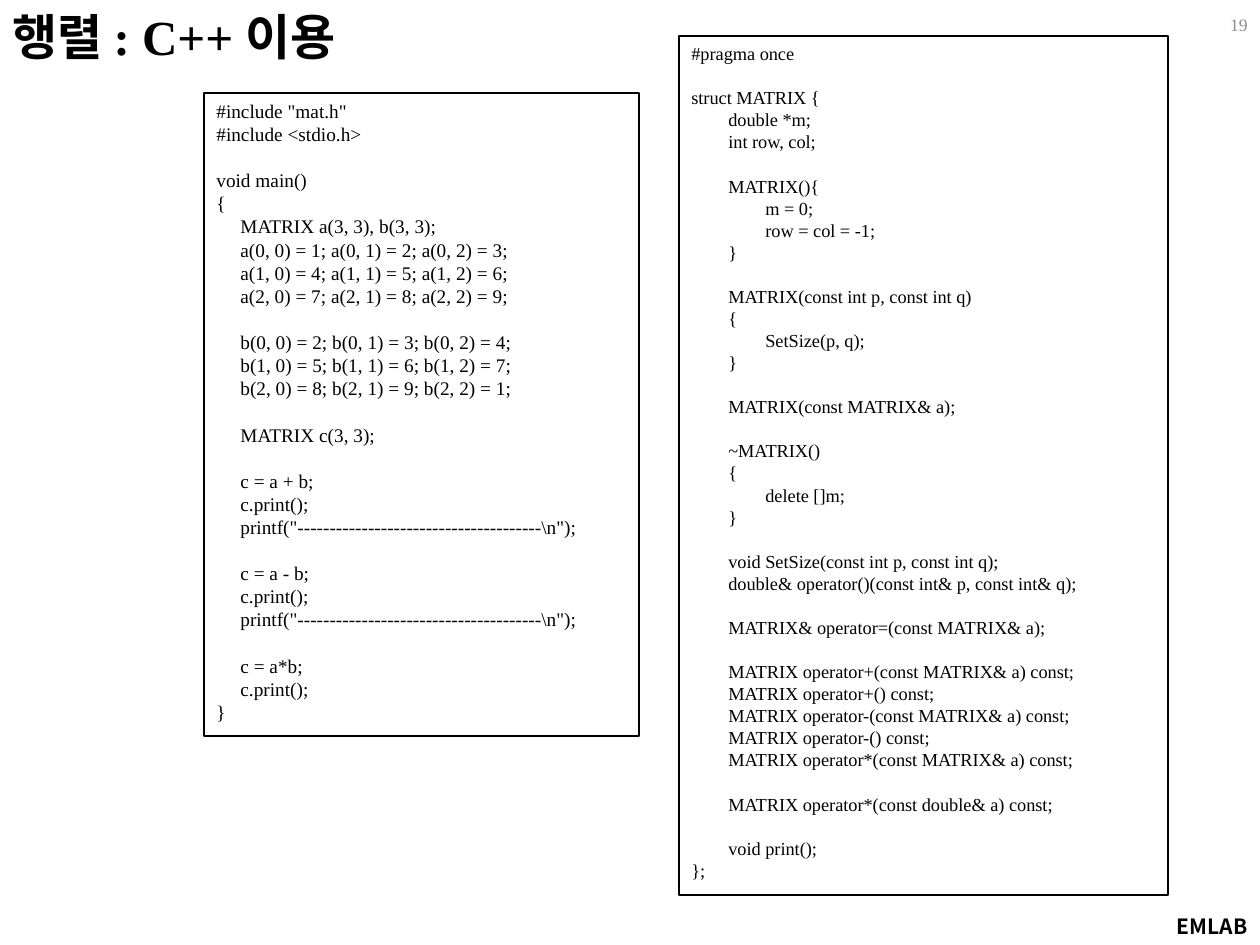
from lxml.etree import SubElement
from pptx import Presentation
from pptx.dml.color import RGBColor
from pptx.enum.shapes import MSO_SHAPE as Shape
from pptx.enum.text import MSO_ANCHOR as Anchor, MSO_AUTO_SIZE as AutoSize, PP_ALIGN as Align
from pptx.oxml.ns import qn
from pptx.util import Emu, Pt

PX = 914400 / 126
LATIN = "Times New Roman"
KOREAN = "Noto Sans CJK KR"
BLACK = "000000"
GRAY = "8C8C8C"

MAIN_CODE = r"""
#include "mat.h"
#include <stdio.h>

void main()
{
    MATRIX a(3, 3), b(3, 3);
    a(0, 0) = 1; a(0, 1) = 2; a(0, 2) = 3;
    a(1, 0) = 4; a(1, 1) = 5; a(1, 2) = 6;
    a(2, 0) = 7; a(2, 1) = 8; a(2, 2) = 9;

    b(0, 0) = 2; b(0, 1) = 3; b(0, 2) = 4;
    b(1, 0) = 5; b(1, 1) = 6; b(1, 2) = 7;
    b(2, 0) = 8; b(2, 1) = 9; b(2, 2) = 1;

    MATRIX c(3, 3);

    c = a + b;
    c.print();
    printf("--------------------------------------\n");

    c = a - b;
    c.print();
    printf("--------------------------------------\n");

    c = a*b;
    c.print();
}
"""

HEADER_CODE = """
#pragma once

struct MATRIX {
    double *m;
    int row, col;

    MATRIX(){
        m = 0;
        row = col = -1;
    }

    MATRIX(const int p, const int q)
    {
        SetSize(p, q);
    }

    MATRIX(const MATRIX& a);

    ~MATRIX()
    {
        delete []m;
    }

    void SetSize(const int p, const int q);
    double& operator()(const int& p, const int& q);

    MATRIX& operator=(const MATRIX& a);

    MATRIX operator+(const MATRIX& a) const;
    MATRIX operator+() const;
    MATRIX operator-(const MATRIX& a) const;
    MATRIX operator-() const;
    MATRIX operator*(const MATRIX& a) const;

    MATRIX operator*(const double& a) const;

    void print();
};
"""


def px(value):
    return Emu(round(value * PX))


def color(value):
    return RGBColor.from_string(value)


def set_font(para, size, name=LATIN, fill=BLACK, bold=False):
    font = para.font
    font.size = Pt(size)
    font.name = name
    font.bold = bold
    font.color.rgb = color(fill)
    SubElement(font._element, qn("a:ea"), typeface=KOREAN)


def add_tabs(para, step, count=2):
    tabs = SubElement(para._p.get_or_add_pPr(), qn("a:tabLst"))
    for level in range(1, count + 1):
        SubElement(tabs, qn("a:tab"), pos=str(px(step * level)), algn="l")


def add_label(page, text, bounds, size, align=Align.LEFT, anchor=Anchor.TOP, wrap=True, **style):
    box = page.shapes.add_textbox(*map(px, bounds))
    frame = box.text_frame
    frame.word_wrap = wrap
    frame.vertical_anchor = anchor
    if not wrap:
        frame.auto_size = AutoSize.SHAPE_TO_FIT_TEXT
    para = frame.paragraphs[0]
    para.text = text
    para.alignment = align
    set_font(para, size, **style)


def add_code(page, code, bounds, size, tab_step):
    box = page.shapes.add_shape(Shape.RECTANGLE, *map(px, bounds))
    box.shadow.inherit = False
    box.fill.background()
    box.line.color.rgb = color(BLACK)
    box.line.width = Pt(0.75)
    frame = box.text_frame
    frame.word_wrap = True
    frame.vertical_anchor = Anchor.TOP
    frame.text = code.strip().replace("    ", "\t")
    for para in frame.paragraphs:
        add_tabs(para, tab_step)
        para.alignment = Align.LEFT
        para.line_spacing = Pt(size * 1.2)
        set_font(para, size)


def main():
    deck = Presentation()
    deck.slide_width, deck.slide_height = px(1260), px(945)
    page = deck.slides.add_slide(deck.slide_layouts[6])
    add_label(page, "EMLAB", (1121, 907, 139, 38), 12, Align.RIGHT, name=KOREAN, bold=True)
    add_label(page, "19", (1166, 0, 94, 50), 10, Align.RIGHT, Anchor.MIDDLE, fill=GRAY)
    add_code(page, HEADER_CODE, (679, 36, 489, 859), 10.5, 37)
    add_label(page, "행렬 : C++ 이용", (0, 0, 369, 72), 28, wrap=False, bold=True)
    add_code(page, MAIN_CODE, (204, 93, 435, 643), 11, 24)
    deck.save("out.pptx")


if __name__ == "__main__":
    main()
